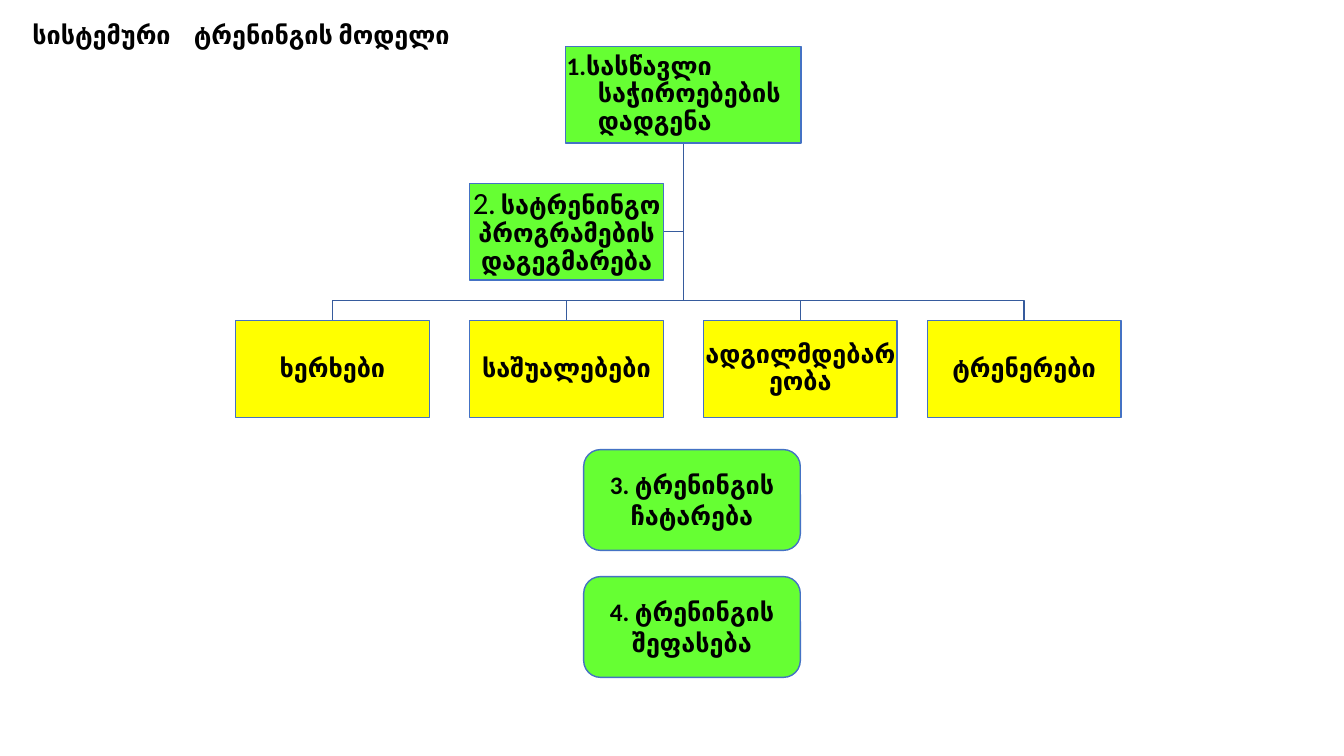
from dataclasses import dataclass

from lxml.etree import SubElement
from pptx import Presentation
from pptx.dml.color import RGBColor as Rgb
from pptx.enum.shapes import MSO_SHAPE as Shape
from pptx.enum.text import MSO_ANCHOR as Anchor, MSO_AUTO_SIZE as AutoSize, PP_ALIGN as Align
from pptx.oxml.ns import qn
from pptx.util import Cm, Pt


@dataclass(frozen=True)
class Theme:
    font: str = "Calibri"
    text: Rgb = Rgb(0x00, 0x00, 0x00)
    stage: Rgb = Rgb(0x66, 0xFF, 0x33)
    resource: Rgb = Rgb(0xFF, 0xFF, 0x00)
    border: Rgb = Rgb(0x44, 0x72, 0xC4)
    link: Rgb = Rgb(0x36, 0x5B, 0x9D)
    body_size: int = 18
    number_size: int = 22
    line_width: int = 1


MARGINS = ("margin_left", "margin_top", "margin_right", "margin_bottom")


def apply(target, formats):
    for attribute, value in formats.items():
        setattr(target, attribute, value)


class ModelSlide:
    def __init__(self, deck, theme):
        self.theme = theme
        self.slide = deck.slides.add_slide(deck.slide_layouts[5])

    def add_run(self, paragraph, text, size=None, bold=True):
        run = paragraph.add_run()
        run.text = text
        apply(run.font, {"name": self.theme.font, "bold": bold,
                         "size": Pt(size or self.theme.body_size)})
        run.font.color.rgb = self.theme.text

    def title(self, text, left, top, width, height, tab):
        heading = self.slide.shapes.title
        apply(heading, {"left": Cm(left), "top": Cm(top),
                        "width": Cm(width), "height": Cm(height)})
        apply(heading.text_frame, {"word_wrap": True, "vertical_anchor": Anchor.TOP,
                                   "auto_size": AutoSize.SHAPE_TO_FIT_TEXT})
        paragraph = heading.text_frame.paragraphs[0]
        paragraph.alignment = Align.LEFT
        tabs = SubElement(paragraph._p.get_or_add_pPr(), qn("a:tabLst"))
        SubElement(tabs, qn("a:tab"), pos=str(Cm(tab)), algn="l")
        self.add_run(paragraph, text)

    def box(self, text, left, top, width, height, fill, kind=Shape.RECTANGLE,
            margin=None, spacing=None, hanging=0, number=""):
        """Draw a filled box; number is a larger, lighter lead-in to its text."""
        box = self.slide.shapes.add_shape(kind, Cm(left), Cm(top), Cm(width), Cm(height))
        box.shadow.inherit = False
        box.fill.solid()
        box.fill.fore_color.rgb = fill
        box.line.color.rgb = self.theme.border
        box.line.width = Pt(self.theme.line_width)
        frame = box.text_frame
        apply(frame, {"word_wrap": True, "vertical_anchor": Anchor.MIDDLE})
        if margin is not None:
            apply(frame, dict.fromkeys(MARGINS, Cm(margin)))
        paragraph = frame.paragraphs[0]
        apply(paragraph, {"alignment": Align.LEFT if hanging else Align.CENTER,
                          "line_spacing": spacing})
        if hanging:
            properties = paragraph._p.get_or_add_pPr()
            properties.set("marL", str(Cm(hanging)))
            properties.set("indent", str(-Cm(hanging)))
        if number:
            self.add_run(paragraph, number, self.theme.number_size, bold=False)
        self.add_run(paragraph, text)

    def link(self, start, *corners):
        """Draw an open line with right-angle bends."""
        builder = self.slide.shapes.build_freeform(Cm(start[0]), Cm(start[1]))
        builder.add_line_segments([(Cm(x), Cm(y)) for x, y in corners], close=False)
        line = builder.convert_to_shape()
        line.shadow.inherit = False
        line.fill.background()
        line.line.color.rgb = self.theme.link
        line.line.width = Pt(self.theme.line_width)


def main():
    theme = Theme()
    deck = Presentation()
    deck.slide_width, deck.slide_height = Cm(33.87), Cm(19.05)
    model = ModelSlide(deck, theme)
    model.title("სისტემური\tტრენინგის მოდელი", 0.56, 0.36, 14.15, 1.02, tab=4.07)

    box_width, box_height = 4.88, 2.44
    needs_left, needs_top, needs_width = 14.25, 1.17, 5.94
    trunk = needs_left + needs_width / 2
    needs_bottom = needs_top + box_height
    planning_left, planning_top = 11.84, 4.62
    bus_top, resource_top = 7.57, 8.08
    resources = {"ხერხები": 5.94, "საშუალებები": 11.84,
                 "ადგილმდებარეობა": 17.73, "ტრენერები": 23.37}

    planning_middle = planning_top + box_height / 2
    model.link((trunk, needs_bottom), (trunk, planning_middle),
               (planning_left + box_width, planning_middle))
    for left in resources.values():
        centre = left + box_width / 2
        model.link((trunk, needs_bottom), (trunk, bus_top),
                   (centre, bus_top), (centre, resource_top))

    model.box("1.სასწავლი საჭიროებების დადგენა", needs_left, needs_top, needs_width,
              box_height, theme.stage, margin=0.03, spacing=0.9, hanging=0.79)
    for resource, left in resources.items():
        model.box(resource, left, resource_top, box_width, box_height,
                  theme.resource, margin=0.03, spacing=0.9)
    model.box(". სატრენინგო პროგრამების დაგეგმარება", planning_left, planning_top,
              box_width, box_height, theme.stage, margin=0.05, spacing=0.9, number="2")

    stages = ("3. ტრენინგის ჩატარება", "4. ტრენინგის შეფასება")
    for row, stage in enumerate(stages):
        model.box(stage, 14.71, 11.33 + 3.2 * row, 5.46, 2.54, theme.stage,
                  kind=Shape.ROUNDED_RECTANGLE)

    deck.save("out.pptx")


if __name__ == "__main__":
    main()
